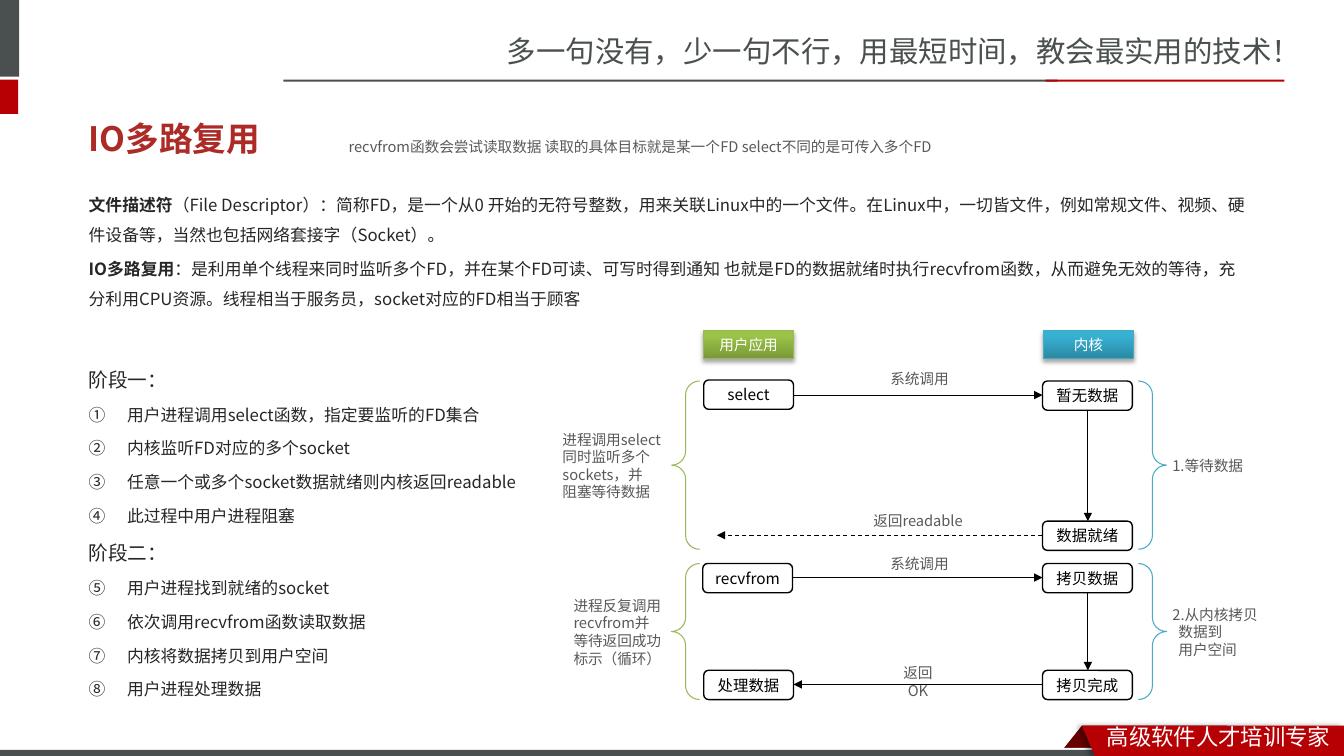
import lxml.etree
import pptx
import pptx.dml.color
import pptx.enum.dml
import pptx.enum.shapes
import pptx.enum.text
import pptx.oxml.ns
import pptx.util

Inches, Pt = pptx.util.Inches, pptx.util.Pt
RGB = pptx.dml.color.RGBColor.from_string
qn = pptx.oxml.ns.qn
SHAPE = pptx.enum.shapes.MSO_SHAPE
ALIGN = pptx.enum.text.PP_ALIGN
ANCHOR = pptx.enum.text.MSO_ANCHOR
FONT = "Noto Sans CJK SC"
COLORS = {
    "slate": "49504F", "red": "B60004", "dark red": "680000", "title": "AD2B26",
    "body": "262626", "caption": "595959", "white": "FFFFFF", "black": "000000",
    "green": "98B955", "green dark": "779737", "green light": "9BC348",
    "blue": "46AAC5", "blue dark": "2A88A2", "blue light": "37B1D2",
}

deck = pptx.Presentation()
deck.slide_width, deck.slide_height = Inches(13.33), Inches(7.5)
page = deck.slides.add_slide(deck.slide_layouts[3])


def write(shape, text, size=10.5, color="caption", lead="", bold=False,
          align=ALIGN.LEFT, spacing=None, before=0, start=None, indent=0):
    """Add one paragraph, with an optional bold lead and circled number."""
    frame = shape.text_frame
    frame.word_wrap = True
    first = not frame.text
    para = frame.paragraphs[0] if first else frame.add_paragraph()
    layout = para._p.get_or_add_pPr()
    layout.set("marL", str(Inches(indent)))
    layout.set("indent", str(-Inches(indent) if start else 0))
    layout.set("hangingPunct", "0")
    if start:
        lxml.etree.SubElement(layout, qn("a:buAutoNum"),
                              type="circleNumDbPlain", startAt=str(start))
    else:
        lxml.etree.SubElement(layout, qn("a:buNone"))
    para.alignment = align
    para.space_before = Pt(0 if first else before)
    if spacing:
        para.line_spacing = spacing
    for words, heavy in ((lead, True), (text, bold)):
        if words:
            span = para.add_run()
            span.text = words
            span.font.size, span.font.bold = Pt(size), heavy
            span.font.color.rgb = RGB(COLORS[color])
            span.font.name = FONT
            lxml.etree.SubElement(span.font._element, qn("a:ea"), typeface=FONT)


def draw(kind, left, top, width, height, fill=None, line=None, weight=0.75):
    """Add a preset shape with a flat fill and outline."""
    shape = page.shapes.add_shape(kind, Inches(left), Inches(top), Inches(width), Inches(height))
    shape.shadow.inherit = False
    if fill:
        shape.fill.solid()
        shape.fill.fore_color.rgb = RGB(COLORS[fill])
    else:
        shape.fill.background()
    if line:
        shape.line.color.rgb = RGB(COLORS[line])
        shape.line.width = Pt(weight)
    else:
        shape.line.fill.background()
    return shape


# Page frame
draw(SHAPE.PARALLELOGRAM, 10.49, 7.2, 1.68, 0.3, "dark red").adjustments[0] = 0.8
for left, top, width, height, fill in (
        (0, 7.42, 13.33, 0.08, "white"),
        (0, 0, 0.19, 0.76, "slate"),
        (0, 0.79, 0.18, 0.34, "red"),
        (2.81, 0.79, 7.68, 0.02, "slate"),
        (10.37, 0.79, 2.37, 0.02, "red"),
        (0, 7.44, 10.99, 0.06, "slate")):
    draw(SHAPE.RECTANGLE, left, top, width, height, fill)

# Ribbon outline in hundredths of an inch
outline = page.shapes.build_freeform(1073, 720, scale=Inches(0.01))
outline.add_line_segments([(1333, 720), (1333, 750), (1086, 750)], close=True)
ribbon = outline.convert_to_shape()
ribbon.shadow.inherit = False
ribbon.fill.solid()
ribbon.fill.fore_color.rgb = RGB(COLORS["red"])
ribbon.line.fill.background()
shadows = [(ribbon, 40, 4, 3, 180)]

# Title, definitions and numbered steps
title, definitions, steps = page.placeholders
for holder, top, height in ((title, 1.16, 0.42), (definitions, 1.78, 0.55), (steps, 3.48, 0.55)):
    holder.left, holder.top = Inches(0.78), Inches(top)
    holder.width, holder.height = Inches(11.7), Inches(height)
    holder.text_frame.auto_size = pptx.enum.text.MSO_AUTO_SIZE.NONE
    holder.text_frame.vertical_anchor = ANCHOR.TOP
title.text_frame.vertical_anchor = ANCHOR.MIDDLE
write(title, "IO多路复用", 24, "title", bold=True)
for term, meaning in (
        ("文件描述符", "（File Descriptor）：简称FD，是一个从0 开始的无符号整数，用来关联Linux中的一个文件。"
         "在Linux中，一切皆文件，例如常规文件、视频、硬件设备等，当然也包括网络套接字（Socket）。"),
        ("IO多路复用", "：是利用单个线程来同时监听多个FD，并在某个FD可读、可写时得到通知 也就是FD的数据就绪时"
         "执行recvfrom函数，从而避免无效的等待，充分利用CPU资源。线程相当于服务员，socket对应的FD相当于顾客")):
    write(definitions, meaning, 12, "body", lead=term, spacing=1.5, before=2.4)
for phase, start, actions in (
        ("阶段一：", 1, ("用户进程调用select函数，指定要监听的FD集合", "内核监听FD对应的多个socket",
                     "任意一个或多个socket数据就绪则内核返回readable", "此过程中用户进程阻塞")),
        ("阶段二：", 5, ("用户进程找到就绪的socket", "依次调用recvfrom函数读取数据",
                     "内核将数据拷贝到用户空间", "用户进程处理数据"))):
    write(steps, phase, 14, "body", spacing=1.5, before=2.8)
    for action in actions:
        write(steps, action, 12, "body", spacing=1.5, before=2.4, start=start, indent=0.38)

# Column headings of the diagram
for left, heading, hue in ((6.98, "用户应用", "green"), (10.35, "内核", "blue")):
    tag = draw(SHAPE.RECTANGLE, left, 3.28, 0.89, 0.28, hue, hue)
    tag.fill.gradient()
    tag.fill.gradient_angle = 90
    for stop, shade, position in zip(tag.fill.gradient_stops, ("dark", "light"), (0, 0.8)):
        stop.color.rgb = RGB(COLORS[f"{hue} {shade}"])
        stop.position = position
    tag.text_frame.vertical_anchor = ANCHOR.TOP
    write(tag, heading, color="white", align=ALIGN.CENTER)
    shadows.append((tag, 35, 3.1, 1.8, 90))

# Soft shadows
for shape, opacity, blur, distance, angle in shadows:
    effects = shape.element.spPr.find(qn("a:effectLst"))
    shade = lxml.etree.SubElement(effects, qn("a:outerShdw"), blurRad=str(Pt(blur)),
                                  dist=str(Pt(distance)), dir=str(angle * 60000), rotWithShape="0")
    tint = lxml.etree.SubElement(shade, qn("a:srgbClr"), val=COLORS["black"])
    lxml.etree.SubElement(tint, qn("a:alpha"), val=str(opacity * 1000))

# Arrows between the steps
for x1, y1, x2, y2, dashed in (
        (7.87, 3.92, 10.34, 3.92, False),
        (10.79, 5.87, 10.79, 6.65, False),
        (10.34, 6.79, 7.87, 6.79, False),
        (10.34, 5.31, 7.11, 5.31, True),
        (10.79, 4.06, 10.79, 5.17, False),
        (7.87, 5.73, 10.34, 5.73, False)):
    arrow = page.shapes.add_connector(pptx.enum.shapes.MSO_CONNECTOR.STRAIGHT,
                                      Inches(x1), Inches(y1), Inches(x2), Inches(y2))
    arrow.line.color.rgb = RGB(COLORS["black"])
    arrow.line.width = Pt(0.75)
    if dashed:
        arrow.line.dash_style = pptx.enum.dml.MSO_LINE.DASH
    properties = arrow.element.spPr
    lxml.etree.SubElement(properties.find(qn("a:ln")), qn("a:tailEnd"), type="triangle")
    lxml.etree.SubElement(properties, qn("a:effectLst"))

# Step boxes
for left, top, label in (
        (6.98, 3.77, "select"), (10.34, 3.78, "暂无数据"), (10.34, 5.17, "数据就绪"),
        (6.97, 5.59, "recvfrom"), (10.34, 5.59, "拷贝数据"),
        (6.98, 6.65, "处理数据"), (10.34, 6.65, "拷贝完成")):
    step = draw(SHAPE.ROUNDED_RECTANGLE, left, top, 0.89, 0.29, "white", "black", 1)
    step.text_frame.margin_left = step.text_frame.margin_right = 0
    step.text_frame.vertical_anchor = ANCHOR.MIDDLE
    write(step, label, 11, "black", align=ALIGN.CENTER)

# Braces around the two phases
for kind, left, hue in ((SHAPE.LEFT_BRACE, 6.66, "green"), (SHAPE.RIGHT_BRACE, 11.29, "blue")):
    for top, height in ((3.78, 1.67), (5.59, 1.35)):
        draw(kind, left, top, 0.28, height, line=hue).adjustments[0] = 0.49

# Captions and slogans
for left, top, width, height, lines, style in (
        (4.93, 0.28, 8.4, 0.47, ["多一句没有，少一句不行，用最短时间，教会最实用的技术！"],
         {"size": 21, "color": "slate"}),
        (10.88, 7.13, 2.45, 0.37, ["高级软件人才培训专家"], {"size": 16, "color": "white"}),
        (3.36, 1.32, 6, 0.45,
         ["recvfrom函数会尝试读取数据 读取的具体目标就是某一个FD select不同的是可传入多个FD"], {}),
        (5.48, 4.22, 1.31, 0.81, ["进程调用select", "同时监听多个", "sockets，并", "阻塞等待数据"], {}),
        (5.59, 5.87, 1.1, 0.81, ["进程反复调用", "recvfrom并", "等待返回成功", "标示（循环）"], {}),
        (11.53, 4.48, 1, 0.28, ["1.等待数据"], {}),
        (11.53, 5.96, 1.15, 0.28, ["2.从内核拷贝"], {}),
        (11.53, 6.13, 1.15, 0.46, ["数据到", "用户空间"], {"indent": 0.06}),
        (8.72, 3.62, 0.8, 0.28, ["系统调用"], {"align": ALIGN.CENTER}),
        (8.72, 5.45, 0.8, 0.28, ["系统调用"], {"align": ALIGN.CENTER}),
        (8.51, 5.03, 1.19, 0.28, ["返回readable"], {"align": ALIGN.CENTER}),
        (8.77, 6.54, 0.67, 0.45, ["返回OK"], {"align": ALIGN.CENTER})):
    box = page.shapes.add_textbox(Inches(left), Inches(top), Inches(width), Inches(height))
    for line in lines:
        write(box, line, **style)

deck.save("out.pptx")
